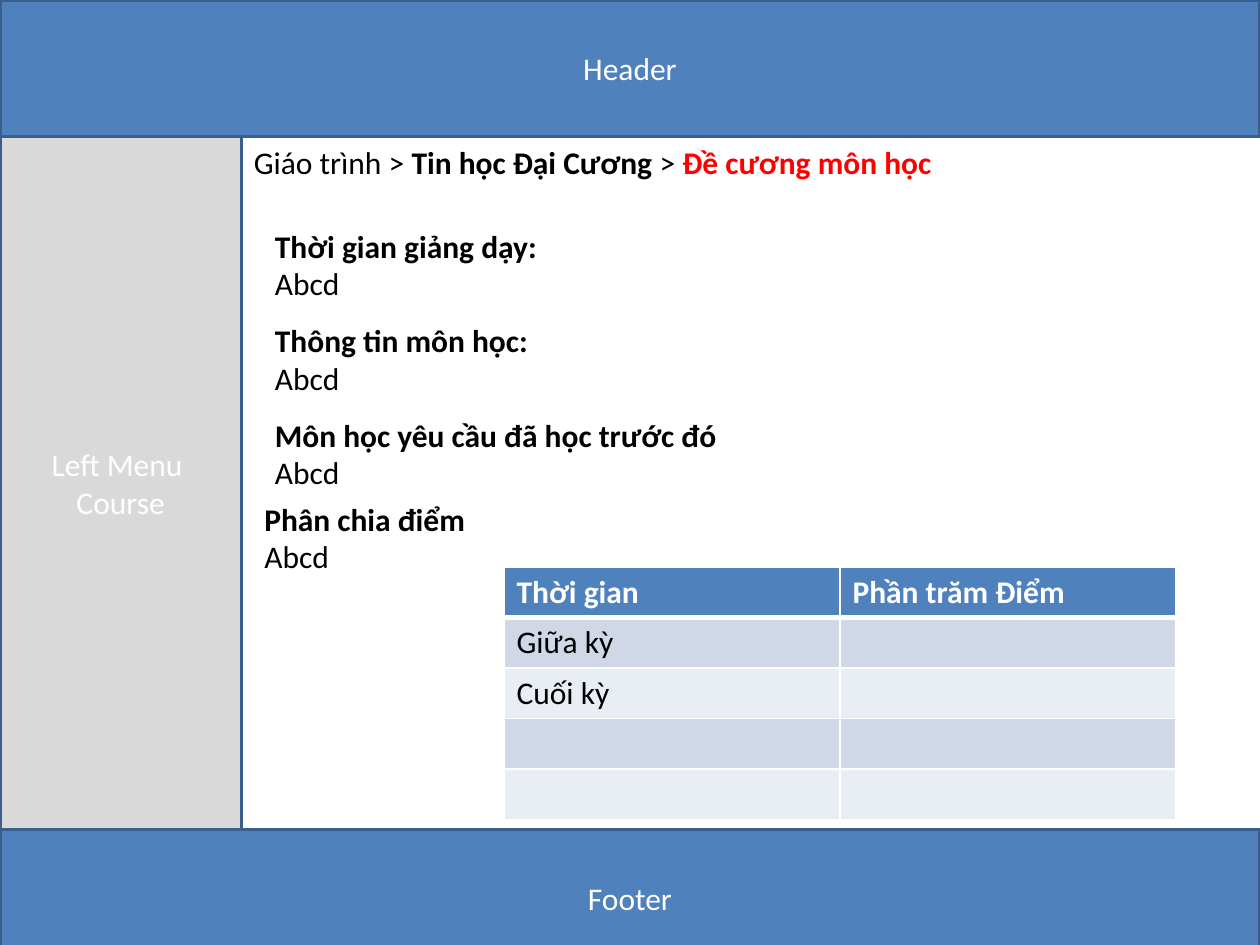
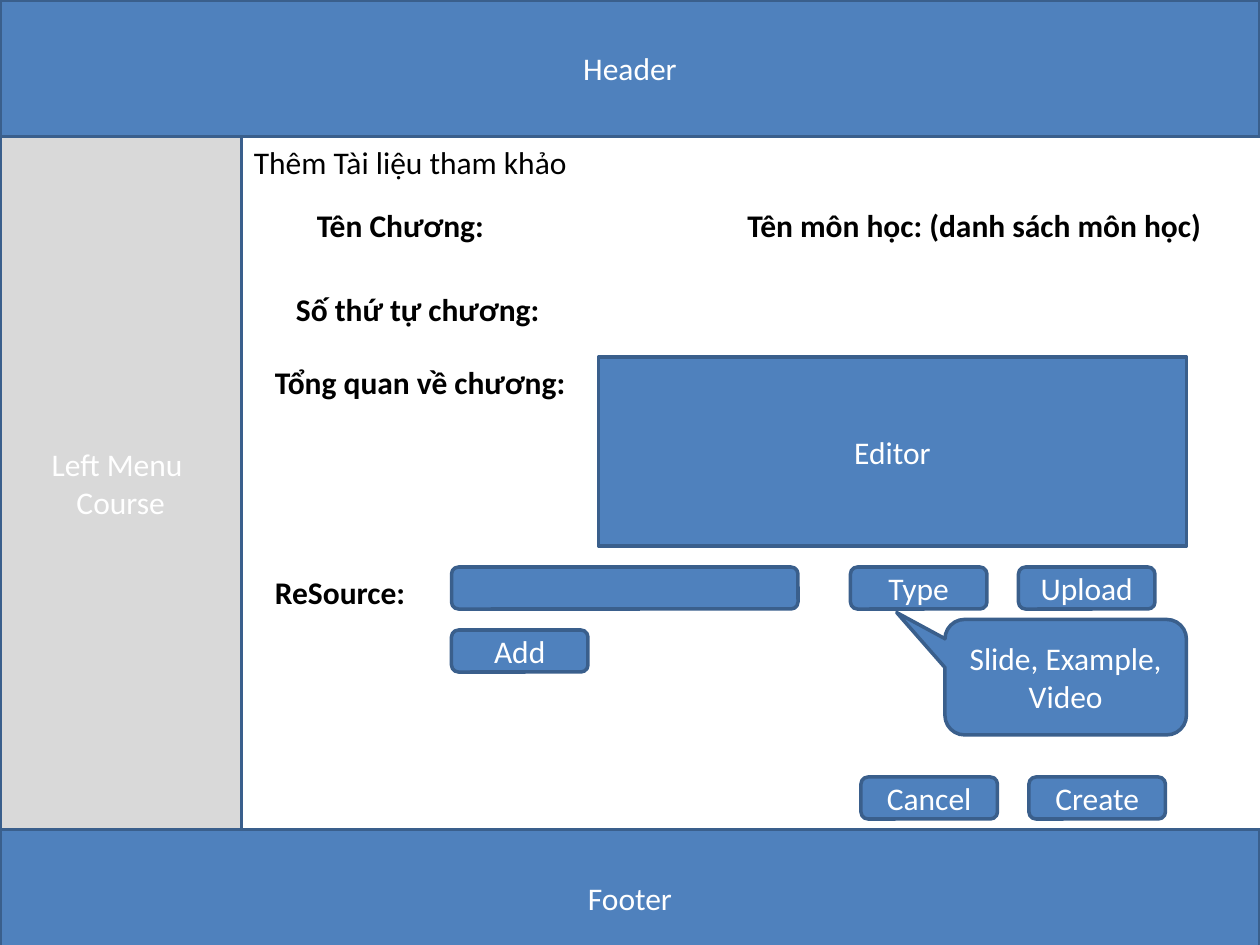
from dataclasses import dataclass
from typing import NamedTuple

from lxml import etree
from pptx import Presentation
from pptx.dml.color import RGBColor
from pptx.enum.shapes import MSO_SHAPE
from pptx.enum.text import MSO_ANCHOR, MSO_AUTO_SIZE, PP_ALIGN
from pptx.oxml.ns import qn
from pptx.util import Inches, Pt

RECT = MSO_SHAPE.RECTANGLE
ROUND = MSO_SHAPE.ROUNDED_RECTANGLE
BUBBLE = MSO_SHAPE.ROUNDED_RECTANGULAR_CALLOUT
MIDDLE = MSO_ANCHOR.MIDDLE
CENTER = PP_ALIGN.CENTER
FIT = MSO_AUTO_SIZE.SHAPE_TO_FIT_TEXT


@dataclass(frozen=True)
class Theme:
    font: str = "Calibri"
    size: int = 18
    line: int = 2
    blue: str = "4F81BD"
    edge: str = "3A5F8C"
    gray: str = "D9D9D9"
    white: str = "FFFFFF"
    black: str = "000000"
    red: str = "FF0000"
    bands: tuple = ("D0D8E8", "E9EDF4")


class Run(NamedTuple):
    text: str
    bold: bool = False
    color: str = "000000"


class Area(NamedTuple):
    """Place on the grid: column, row, columns wide, rows high."""
    col: float
    row: float
    wide: float
    high: float


@dataclass(frozen=True)
class Box:
    area: Area
    lines: tuple = ()
    kind: int = RECT
    fill: str = "4F81BD"
    adjust: tuple = ()


@dataclass(frozen=True)
class Note:
    area: Area
    lines: tuple
    wrap: bool = True


THEME = Theme()

# Grid: 120 columns by 90 rows over the slide
deck = Presentation()
deck.slide_width, deck.slide_height = Inches(10), Inches(7.5)
COLS, ROWS = 120, 90
BAND, MENU, FOOT = 13, 23, 79
LINE = 5
BUTTON = (13, 4)


def rgb(code: str) -> RGBColor:
    return RGBColor.from_string(code)


def place(area: Area) -> tuple:
    unit_x, unit_y = deck.slide_width / COLS, deck.slide_height / ROWS
    return (round(area.col * unit_x), round(area.row * unit_y),
            round(area.wide * unit_x), round(area.high * unit_y))


def write(frame, lines: tuple, align=None) -> None:
    """Fill a text frame; each line is a tuple of runs."""
    for i, runs in enumerate(lines):
        para = frame.paragraphs[0] if i == 0 else frame.add_paragraph()
        para.alignment = align
        for item in runs:
            run = para.add_run()
            run.text = item.text
            font = run.font
            font.name, font.size = THEME.font, Pt(THEME.size)
            font.bold = item.bold
            font.color.rgb = rgb(item.color)


def draw_box(slide, box: Box) -> None:
    shape = slide.shapes.add_shape(box.kind, *place(box.area))
    shape.shadow.inherit = False
    for i, value in enumerate(box.adjust):
        shape.adjustments[i] = value
    shape.fill.solid()
    shape.fill.fore_color.rgb = rgb(box.fill)
    shape.line.color.rgb = rgb(THEME.edge)
    shape.line.width = Pt(THEME.line)
    frame = shape.text_frame
    frame.word_wrap = True
    frame.vertical_anchor = MIDDLE
    lines = tuple((Run(text, color=THEME.white),) for text in box.lines)
    write(frame, lines, CENTER)


def draw_note(slide, note: Note) -> None:
    frame = slide.shapes.add_textbox(*place(note.area)).text_frame
    frame.word_wrap = note.wrap
    frame.auto_size = FIT
    write(frame, note.lines)


def set_edges(cell, low: int) -> None:
    """White borders, with the bottom one of the given width in points."""
    props = cell._tc.get_or_add_tcPr()
    widths = {"a:lnL": 1, "a:lnR": 1, "a:lnT": 1, "a:lnB": low}
    for i, (tag, width) in enumerate(widths.items()):
        line = etree.Element(qn(tag), w=str(Pt(width)))
        fill = etree.SubElement(line, qn("a:solidFill"))
        etree.SubElement(fill, qn("a:srgbClr"), val=THEME.white)
        props.insert(i, line)


def draw_table(slide, area: Area, data: tuple) -> None:
    table = slide.shapes.add_table(len(data), len(data[0]), *place(area)).table
    for r, row in enumerate(data):
        head = r == 0
        for c, text in enumerate(row):
            cell = table.cell(r, c)
            cell.fill.solid()
            tint = THEME.blue if head else THEME.bands[(r - 1) % 2]
            cell.fill.fore_color.rgb = rgb(tint)
            set_edges(cell, 3 if head else 1)
            if text:
                ink = THEME.white if head else THEME.black
                write(cell.text_frame, ((Run(text, head, ink),),))


def add_page(trail: tuple):
    """A slide with header, menu, footer and the top line of its body."""
    slide = deck.slides.add_slide(deck.slide_layouts[6])
    for box in (
        Box(Area(0, 0, COLS, BAND), ("Header",)),
        Box(Area(0, BAND, MENU, FOOT - BAND), ("Left Menu ", "Course"),
            fill=THEME.gray),
        Box(Area(0, FOOT, COLS, BAND), ("Footer",)),
    ):
        draw_box(slide, box)
    draw_note(slide, Note(Area(MENU, BAND, COLS - MENU, LINE), (trail,)))
    return slide


# Course outline
page = add_page((
    Run("Giáo trình > "), Run("Tin học Đại Cương ", True), Run("> "),
    Run("Đề cương môn học", True, THEME.red),
))
for title, col, row, wide in (
    ("Thời gian giảng dạy:", 25, 21, 29),
    ("Thông tin môn học:", 25, 30, 27),
    ("Môn học yêu cầu đã học trước đó", 25, 39, 49),
    ("Phân chia điểm ", 24, 47, 49),
):
    draw_note(page, Note(Area(col, row, wide, 12),
                         ((Run(title, True),), (Run("Abcd"),))))
draw_table(page, Area(48, 54, 64, 24), (
    ("Thời gian", "Phần trăm Điểm"),
    ("Giữa kỳ", ""),
    ("Cuối kỳ ", ""),
    ("", ""),
    ("", ""),
))

# Form for a new reference
page = add_page((Run("Thêm Tài liệu tham khảo"),))
for label, col, row, wide, wrap in (
    ("Tên Chương:", 29, 19, 18.5, False),
    ("Tên môn học: (danh sách môn học)", 70, 19, 50, True),
    ("Số thứ tự chương:", 27, 27, 25.8, False),
    ("Tổng quan về chương:", 25, 34, 30.4, False),
    ("ReSource:", 25, 54, 14.9, False),
):
    draw_note(page, Note(Area(col, row, wide, LINE),
                         ((Run(label, True),),), wrap))

# Editor, input field and buttons
draw_box(page, Box(Area(57, 34, 56, 18), ("Editor",)))
draw_box(page, Box(Area(43, 54, 33, 4), kind=ROUND))
for label, col, row in (
    ("Type", 81, 54), ("Upload", 97, 54), ("Add", 43, 60),
    ("Cancel", 82, 74), ("Create", 98, 74),
):
    draw_box(page, Box(Area(col, row, *BUTTON), (label,), ROUND))
draw_box(page, Box(Area(90, 59, 23, 11), ("Slide, Example, Video",), BUBBLE,
                   adjust=(-0.7, -0.56, 0.17)))

deck.save("out.pptx")
